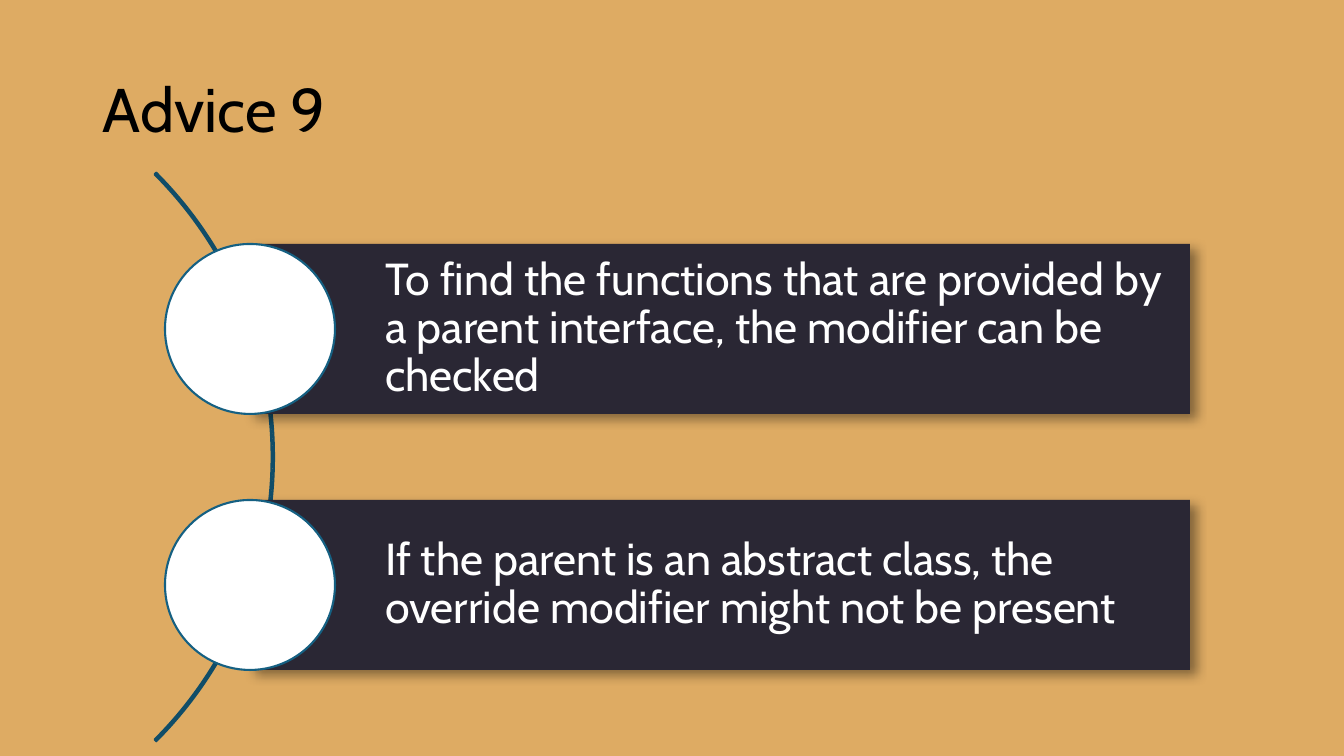
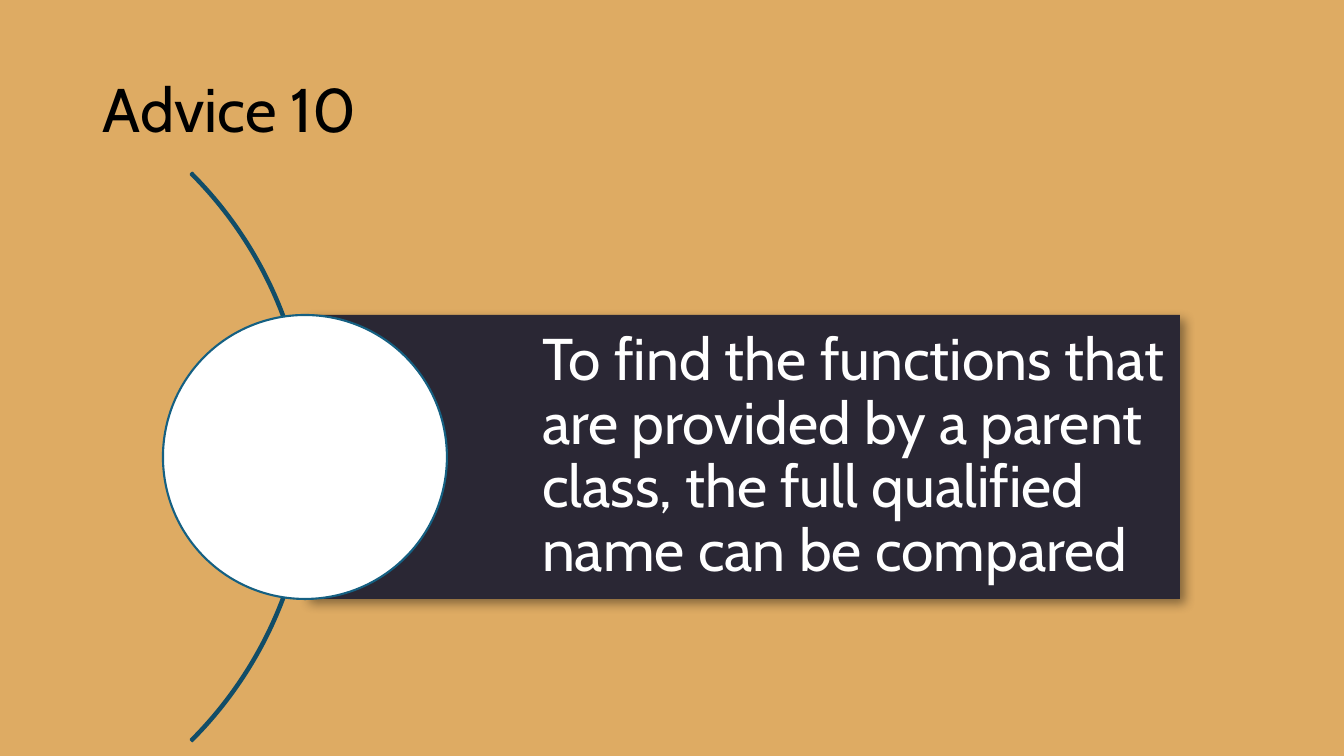
from dataclasses import dataclass

from lxml import etree
from pptx import Presentation
from pptx import util as u
from pptx.dml.color import RGBColor
from pptx.enum import shapes, text
from pptx.oxml import ns

# Shared look
PX = 914400 / 100.8
WIDTH, HEIGHT = 1344, 756
FONT = "Cabin"
SAND, NAVY, WHITE, BLACK = "DEAB63", "2A2734", "FFFFFF", "000000"
ARC_BLUE, RING_BLUE = "114D68", "156082"
LINE_PT = 1.5
TITLE_BOX = (93, 40, 1159, 146)
TITLE_PT, TITLE_INSETS = 44, (10, 5, 10, 5)

# Diagram geometry shared by both slides
CENTER_Y = 457
ARC_SIZE = 804
ARC_ADJUSTMENTS = (189, 27, 0.003)


@dataclass(frozen=True)
class Advice:
    """One slide: its title, its bars and the measures of the diagram in px."""
    title: str
    items: tuple[str, ...]
    arc_left: int
    bar_left: int
    bar_width: int
    bar_height: int
    indent: int
    inset: int
    size: int
    gap: int = 0


ADVICES = (
    Advice("Advice 9",
           ("To find the functions that are provided by a parent interface, "
            "the modifier can be checked",
            "If the parent is an abstract class, the override modifier might "
            "not be present"),
           arc_left=-530, bar_left=250, bar_width=940, bar_height=170,
           indent=135, inset=9, size=32, gap=86),
    Advice("Advice 10",
           ("To find the functions that are provided by a parent class, "
            "the full qualified name can be compared",),
           arc_left=-494, bar_left=305, bar_width=875, bar_height=284,
           indent=237, inset=12, size=42),
)


def px(n: float) -> u.Emu:
    return u.Emu(round(n * PX))


def rgb(color: str) -> RGBColor:
    return RGBColor.from_string(color)


def add_shape(s, kind, box, fill: str | None = None, line: str | None = None):
    """Add a flat preset shape; None leaves out the fill or the outline."""
    sp = s.shapes.add_shape(kind, *map(px, box))
    sp.shadow.inherit = False
    if fill:
        sp.fill.solid()
        sp.fill.fore_color.rgb = rgb(fill)
    else:
        sp.fill.background()
    if line:
        sp.line.color.rgb = rgb(line)
        sp.line.width = u.Pt(LINE_PT)
    else:
        sp.line.fill.background()
    return sp


def add_shadow(sp) -> None:
    """Put a soft shadow to the lower right of a shape."""
    effects = sp._element.spPr.find(ns.qn("a:effectLst"))
    shadow = etree.SubElement(
        effects, ns.qn("a:outerShdw"), blurRad=str(u.Pt(8)),
        dist=str(u.Pt(5)), dir="2700000", algn="tl", rotWithShape="0")
    color = etree.SubElement(shadow, ns.qn("a:srgbClr"), val=BLACK)
    etree.SubElement(color, ns.qn("a:alpha"), val="40000")


def set_text(sp, words: str, size: int, color: str,
             insets: tuple[int, int, int, int]) -> None:
    """Write one left-aligned, vertically centred paragraph."""
    left, top, right, bottom = map(px, insets)
    tf = sp.text_frame
    frame_format = {
        "word_wrap": True, "vertical_anchor": text.MSO_ANCHOR.MIDDLE,
        "margin_left": left, "margin_top": top,
        "margin_right": right, "margin_bottom": bottom,
    }
    for name, value in frame_format.items():
        setattr(tf, name, value)
    p = tf.paragraphs[0]
    p.alignment = text.PP_ALIGN.LEFT
    p.line_spacing = 0.9
    r = p.add_run()
    r.text = words
    for name, value in {"name": FONT, "size": u.Pt(size)}.items():
        setattr(r.font, name, value)
    r.font.color.rgb = rgb(color)


def add_bar(s, advice: Advice, words: str, top: float) -> None:
    """Draw a text bar with a circle centred on its left edge."""
    height = advice.bar_height
    bar = add_shape(s, shapes.MSO_SHAPE.RECTANGLE,
                    (advice.bar_left, top, advice.bar_width, height), NAVY)
    add_shadow(bar)
    set_text(bar, words, advice.size, WHITE,
             (advice.indent, advice.inset, advice.inset, advice.inset))
    add_shape(s, shapes.MSO_SHAPE.OVAL,
              (advice.bar_left - height / 2, top, height, height),
              WHITE, RING_BLUE)


def add_advice(prs, advice: Advice) -> None:
    s = prs.slides.add_slide(prs.slide_layouts[6])

    # Arc behind the bars
    arc = add_shape(s, shapes.MSO_SHAPE.BLOCK_ARC,
                    (advice.arc_left, CENTER_Y - ARC_SIZE / 2,
                     ARC_SIZE, ARC_SIZE), line=ARC_BLUE)
    for i, value in enumerate(ARC_ADJUSTMENTS):
        arc.adjustments[i] = value

    # Bars, stacked evenly around the arc's centre
    pitch = advice.bar_height + advice.gap
    first_top = CENTER_Y - (len(advice.items) * pitch - advice.gap) / 2
    for i, words in enumerate(advice.items):
        add_bar(s, advice, words, first_top + i * pitch)

    # Title
    title = s.shapes.add_textbox(*map(px, TITLE_BOX))
    set_text(title, advice.title, TITLE_PT, BLACK, TITLE_INSETS)


def main() -> None:
    prs = Presentation()
    prs.slide_width, prs.slide_height = px(WIDTH), px(HEIGHT)
    fill = prs.slide_master.background.fill
    fill.solid()
    fill.fore_color.rgb = rgb(SAND)
    for advice in ADVICES:
        add_advice(prs, advice)
    prs.save("out.pptx")


if __name__ == "__main__":
    main()
